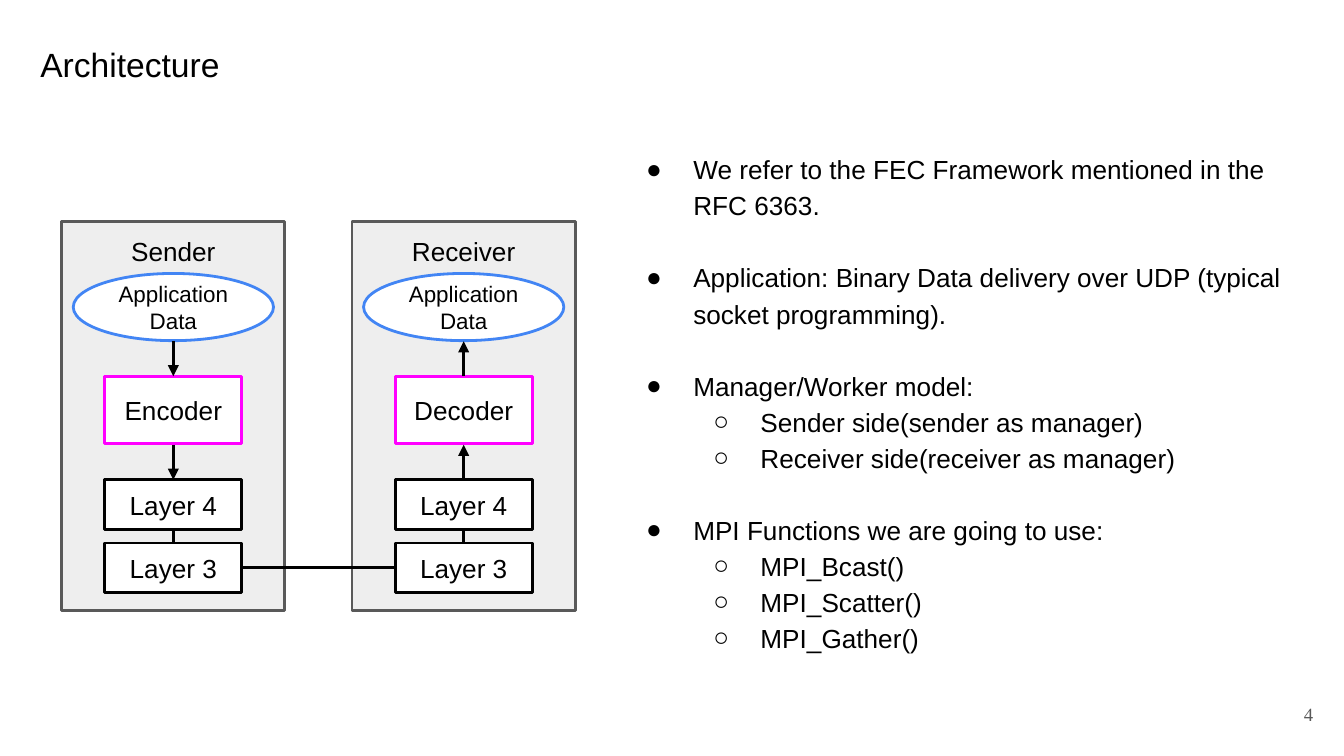
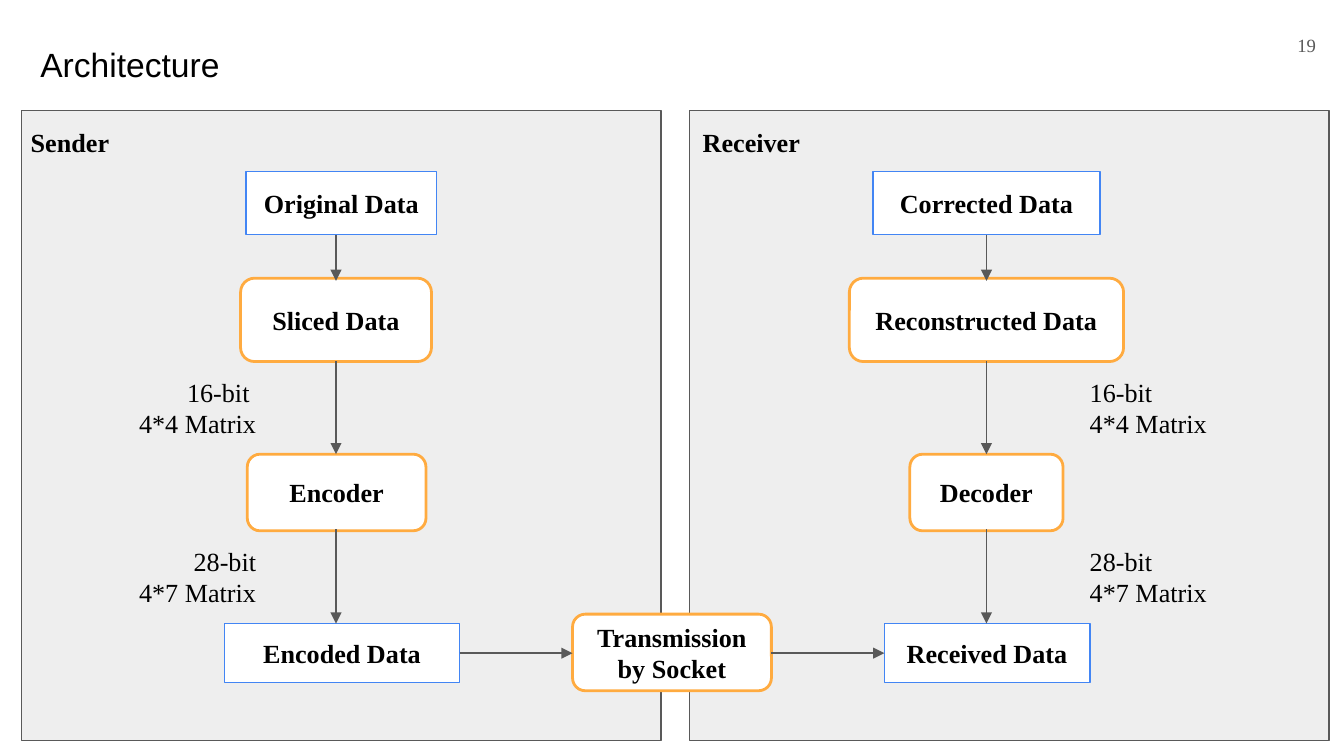
from lxml import etree
from pptx import Presentation
from pptx.dml.color import RGBColor
from pptx.enum.shapes import MSO_CONNECTOR, MSO_SHAPE
from pptx.enum.text import MSO_ANCHOR, MSO_AUTO_SIZE, PP_ALIGN
from pptx.oxml.ns import qn
from pptx.util import Inches, Pt

COLUMNS, ROWS = 100, 56.25
COLOURS = {
    "ink": "000000",
    "paper": "FFFFFF",
    "panel": "EEEEEE",
    "grey": "595959",
    "blue": "4285F4",
    "pink": "FF00FF",
    "orange": "FFAB40",
}
SANS, SERIF = "Arial", "Times New Roman"
TITLE_ONLY = 5


class Sketch:
    """Draws styled elements on the current slide, measured in grid units."""

    def __init__(self, deck):
        """Keep the deck and size one grid unit from its slides."""
        self.deck = deck
        self.column = deck.slide_width / COLUMNS
        self.row = deck.slide_height / ROWS
        self.page = None
        self.font = SANS
        self.bold = False
        self.line_width = 1.5
        self.line_colour = "ink"

    def place(self, left, top, width, height):
        """Turn columns and rows into slide lengths."""
        return (round(left * self.column), round(top * self.row),
                round(width * self.column), round(height * self.row))

    def colour(self, name):
        """Look up a named colour."""
        return RGBColor.from_string(COLOURS[name])

    def start(self, title, font, bold, line_width, line_colour):
        """Add a titled slide and set the style of its diagram."""
        self.page = self.deck.slides.add_slide(self.deck.slide_layouts[TITLE_ONLY])
        self.font, self.bold = font, bold
        self.line_width, self.line_colour = line_width, line_colour
        box = self.page.shapes.title
        box.left, box.top, box.width, box.height = self.place(2, 2.3, 45, 5)
        self.set_text(box, title, size=18, font=SANS, bold=False,
                      align=PP_ALIGN.LEFT, anchor=MSO_ANCHOR.TOP)

    def set_text(self, box, text, size=14, font=None, bold=None, colour="ink",
                 align=PP_ALIGN.CENTER, anchor=MSO_ANCHOR.MIDDLE):
        """Fill a shape with text and format every run."""
        frame = box.text_frame
        frame.text = text
        frame.word_wrap = True
        frame.auto_size = MSO_AUTO_SIZE.NONE
        frame.vertical_anchor = anchor
        frame.margin_left = frame.margin_right = Inches(0.1)
        frame.margin_top = frame.margin_bottom = Inches(0.1)
        for para in frame.paragraphs:
            para.alignment = align
            for span in para.runs:
                span.font.size = Pt(size)
                span.font.name = font or self.font
                span.font.bold = self.bold if bold is None else bold
                span.font.color.rgb = self.colour(colour)

    def shape(self, kind, at, line, text="", fill="paper", width=None, **style):
        """Draw a filled, outlined shape with optional text."""
        box = self.page.shapes.add_shape(kind, *self.place(*at))
        box.shadow.inherit = False
        box.fill.solid()
        box.fill.fore_color.rgb = self.colour(fill)
        box.line.color.rgb = self.colour(line)
        box.line.width = Pt(width or self.line_width)
        if text:
            self.set_text(box, text, **style)

    def node(self, kind, centre, top, width, height, line, text, stroke=None, **style):
        """Draw a shape centred on a column."""
        self.shape(kind, (centre - width / 2, top, width, height), line, text,
                   width=stroke, **style)

    def label(self, at, text, **style):
        """Place a text box and return it."""
        box = self.page.shapes.add_textbox(*self.place(*at))
        self.set_text(box, text, **style)
        return box

    def number(self, left, top, text):
        """Place the page number."""
        self.label((left, top, 6, 4.3), text, size=10, font=SERIF, bold=False,
                   colour="grey", align=PP_ALIGN.RIGHT)

    def line(self, start, end, arrow=True):
        """Join two grid points, with an arrowhead at the end if wanted."""
        ends = self.place(*start, *end)
        link = self.page.shapes.add_connector(MSO_CONNECTOR.STRAIGHT, *ends)
        link.line.color.rgb = self.colour(self.line_colour)
        link.line.width = Pt(self.line_width)
        properties = link.element.spPr
        if arrow:
            etree.SubElement(properties.find(qn("a:ln")), qn("a:tailEnd"), type="triangle")
        etree.SubElement(properties, qn("a:effectLst"))

    def bullets(self, at, groups):
        """List groups of one heading and its points, a line apart."""
        items = [(level, text) for heading, *points in groups
                 for level, text in [(0, heading)] + [(1, point) for point in points]]
        box = self.label(at, "\n".join(text for level, text in items),
                         align=PP_ALIGN.LEFT, anchor=MSO_ANCHOR.TOP)
        for index, (para, (level, text)) in enumerate(zip(box.text_frame.paragraphs, items)):
            para.level = level
            para.line_spacing = 1.15
            para.space_before = Pt(19.3 if index and not level else 0)
            properties = para._p.get_or_add_pPr()
            properties.set("marL", str(Inches(0.5 + 0.5 * level)))
            properties.set("indent", str(Inches(-0.35)))
            tint = etree.SubElement(properties, qn("a:buClr"))
            etree.SubElement(tint, qn("a:srgbClr"), val=COLOURS["ink"])
            etree.SubElement(properties, qn("a:buFont"), typeface=SANS)
            etree.SubElement(properties, qn("a:buChar"), char="●○"[level])


def framework_slide(sketch):
    """Show the protocol stacks beside the design notes."""
    sketch.start("Architecture", SANS, False, 1.5, "ink")
    rect, top, gap = MSO_SHAPE.RECTANGLE, 20.35, 2.6
    coder_top, layer_top = 28, 35.7
    stacks = [("Sender", "Encoder", 12.9, False), ("Receiver", "Decoder", 34.5, True)]
    for side, coder, centre, upward in stacks:
        sketch.node(rect, centre, 16.5, 16.6, 28.9, "grey", side,
                    fill="panel", anchor=MSO_ANCHOR.TOP)
        sketch.node(MSO_SHAPE.OVAL, centre, top, 14.9, 5, "blue", "Application Data", size=12)
        sketch.node(rect, centre, coder_top, 10.2, 5, "pink", coder)
        for layer, row in (("Layer 4", layer_top), ("Layer 3", layer_top + 4.7)):
            sketch.node(rect, centre, row, 10.2, 3.7, "ink", layer)
        for row in (coder_top, layer_top):
            ends = [(centre, row - gap), (centre, row)]
            sketch.line(*(reversed(ends) if upward else ends))
        sketch.line((centre, layer_top + 3.7), (centre, layer_top + 4.7), arrow=False)
    sketch.line((18, 42.2), (29.4, 42.2), arrow=False)
    sketch.bullets((45.6, 10.1, 52.1, 39.6), [
        ("We refer to the FEC Framework mentioned in the RFC 6363.",),
        ("Application: Binary Data delivery over UDP (typical socket programming).",),
        ("Manager/Worker model:", "Sender side(sender as manager)",
         "Receiver side(receiver as manager)"),
        ("MPI Functions we are going to use:", "MPI_Bcast()", "MPI_Scatter()", "MPI_Gather()"),
    ])
    sketch.number(92.7, 51, "4")


def data_flow_slide(sketch):
    """Show how data is sliced, encoded, sent and restored."""
    sketch.start("Architecture", SERIF, True, 0.75, "grey")
    rect, rounded = MSO_SHAPE.RECTANGLE, MSO_SHAPE.ROUNDED_RECTANGLE
    steps = [(rect, 12.75, 4.7, "blue", 0.75), (rounded, 20.7, 6.2, "orange", 1.5),
             (rounded, 33.8, 5.7, "orange", 1.5), (rect, 46.4, 4.4, "blue", 0.75)]
    arrows = [(17.5, 20.9), (26.9, 33.8), (39.4, 46.4)]
    sides = [
        ("Sender", 1.6, 1.3, 25, 6.2, PP_ALIGN.RIGHT, "16-bit \n4*4 Matrix",
         [("Original Data", 25.4, 14.2), ("Sliced Data", 25, 14.2),
          ("Encoder", 25.05, 13.3), ("Encoded Data", 25.45, 17.5)]),
        ("Receiver", 51.3, 51.3, 73.4, 80.1, PP_ALIGN.LEFT, "16-bit\n4*4 Matrix",
         [("Corrected Data", 73.4, 16.9), ("Reconstructed Data", 73.4, 20.4),
          ("Decoder", 73.4, 11.4), ("Received Data", 73.45, 15.3)]),
    ]
    for side, left, name_left, axis, note_left, align, matrix, names in sides:
        sketch.shape(rect, (left, 8.2, 47.6, 46.9), "grey", fill="panel")
        sketch.label((name_left, 8.4, 11.2, 4.4), side,
                     align=PP_ALIGN.LEFT, anchor=MSO_ANCHOR.TOP)
        for (kind, top, height, line, stroke), (name, centre, width) in zip(steps, names):
            sketch.node(kind, centre, top, width, height, line, name, stroke)
        for start, end in arrows:
            sketch.line((axis, start), (axis, end))
        for text, top in ((matrix, 27), ("28-bit\n4*7 Matrix", 39.55)):
            sketch.label((note_left, top, 13.85, 6.7), text, bold=False,
                         align=align, anchor=MSO_ANCHOR.TOP)
    sketch.node(rounded, 50, 45.7, 14.8, 5.7, "orange", "Transmission by Socket", 1.5)
    for start, end in ((34.2, 42.6), (57.4, 65.8)):
        sketch.line((start, 48.6), (end, 48.6))
    sketch.number(92.9, 1.2, "19")


def main():
    """Build and save the deck."""
    deck = Presentation()
    deck.slide_width, deck.slide_height = Inches(10), Inches(5.625)
    sketch = Sketch(deck)
    framework_slide(sketch)
    data_flow_slide(sketch)
    deck.save("out.pptx")


if __name__ == "__main__":
    main()
